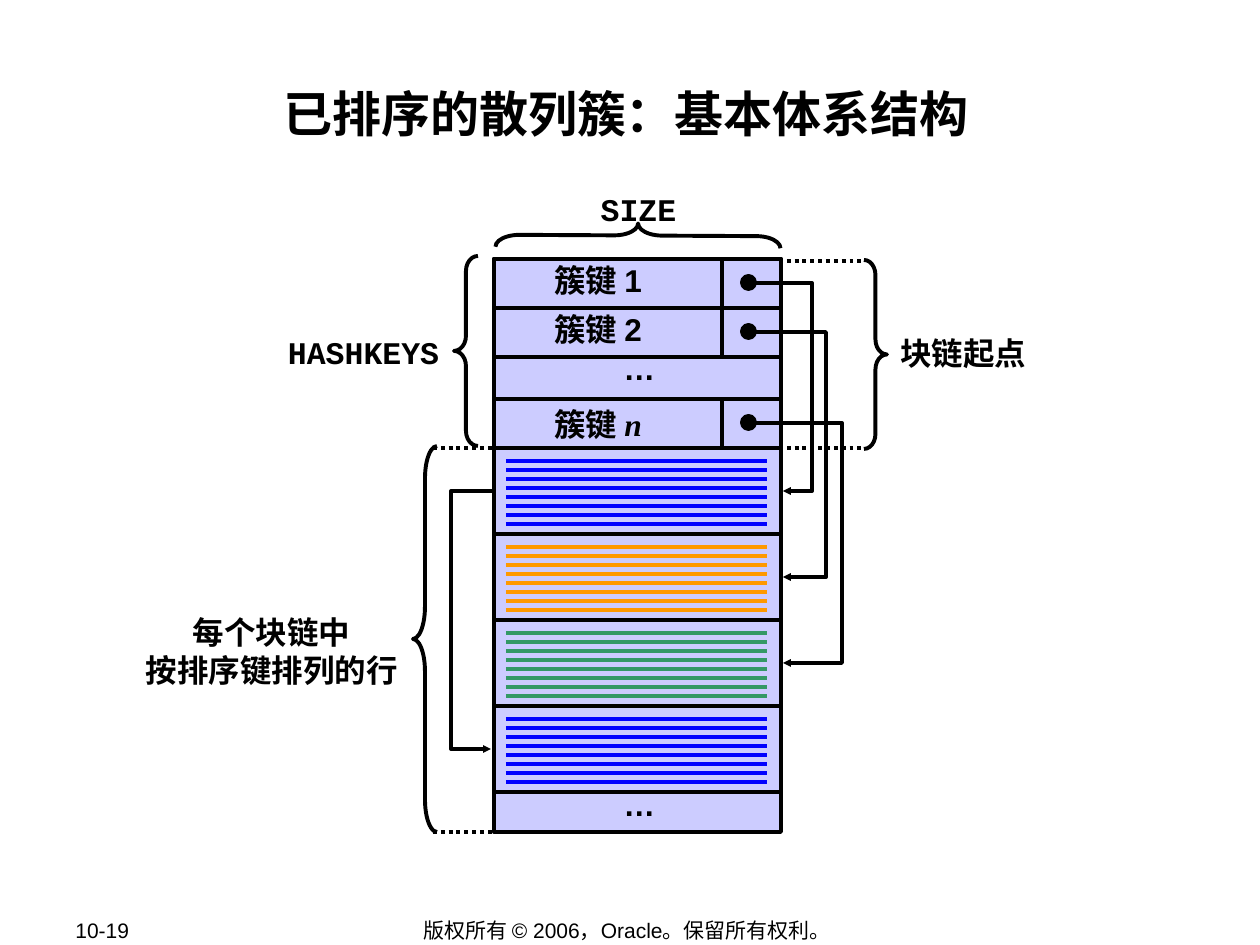
from dataclasses import dataclass
from lxml import etree
from pptx import Presentation
from pptx.dml.color import RGBColor
from pptx.enum.dml import MSO_LINE
from pptx.enum.shapes import MSO_CONNECTOR as CONN, MSO_SHAPE as SHAPE
from pptx.enum.text import MSO_ANCHOR as ANCHOR, PP_ALIGN as ALIGN
from pptx.oxml.ns import qn
from pptx.util import Emu, Pt


def px(n):
    return Emu(round(n * 914400 / 126))


def color(value):
    return RGBColor.from_string(value)


@dataclass
class Board:
    """Draws the elements of the current slide in one shared style."""
    slide: object
    ink: str = "000000"
    panel: str = "CCCCFF"
    font: str = "Arial"
    weight: float = 2.25

    def style(self, p, size, bold=True, font=None):
        f = p.font
        f.name, f.size, f.bold = font or self.font, Pt(size), bold
        f.color.rgb = color(self.ink)

    def title(self, text, x, y, w, h):
        s = self.slide.shapes.title
        s.left, s.top, s.width, s.height = map(px, (x, y, w, h))
        tf = s.text_frame
        tf.margin_left = tf.margin_right = tf.margin_top = tf.margin_bottom = px(1)
        tf.vertical_anchor = ANCHOR.TOP
        p = tf.paragraphs[0]
        p.text, p.alignment, p.line_spacing = text, ALIGN.CENTER, 1.1
        self.style(p, 28)

    def text(self, text, x, y, w, h=51, size=18, bold=True, font=None,
             align=ALIGN.CENTER, anchor=ANCHOR.TOP):
        tf = self.slide.shapes.add_textbox(*map(px, (x, y, w, h))).text_frame
        tf.word_wrap, tf.vertical_anchor = False, anchor
        p = tf.paragraphs[0]
        p.text, p.alignment = text, align
        self.style(p, size, bold, font)
        return p

    def shape(self, kind, x, y, w, h, fill=None):
        s = self.slide.shapes.add_shape(kind, *map(px, (x, y, w, h)))
        s.shadow.inherit = False
        if fill:
            s.fill.solid()
            s.fill.fore_color.rgb = color(fill)
        else:
            s.fill.background()
        s.line.color.rgb, s.line.width = color(self.ink), Pt(self.weight)
        return s

    def brace(self, kind, x, y, w, h, curl, angle=0):
        s = self.shape(kind, x, y, w, h)
        s.adjustments[0] = curl
        s.rotation = angle

    def line(self, x1, y1, x2, y2, ink=None, dotted=False, kind=CONN.STRAIGHT):
        c = self.slide.shapes.add_connector(kind, *map(px, (x1, y1, x2, y2)))
        c.line.color.rgb, c.line.width = color(ink or self.ink), Pt(self.weight)
        if dotted:
            c.line.dash_style = MSO_LINE.ROUND_DOT
        etree.SubElement(c._element.spPr, qn("a:effectLst"))
        return c

    def arrow(self, x1, y1, x2, y2, bend, side, target, source=None):
        c = self.line(x1, y1, x2, y2, kind=CONN.ELBOW)
        if source:
            c.begin_connect(source, side)
        c.end_connect(target, side)
        c.begin_x, c.end_x = px(x1), px(x2)
        guides = c._element.spPr.find(qn("a:prstGeom")).get_or_add_avLst()
        ratio = round((bend - x1) / (x2 - x1) * 100000)
        etree.SubElement(guides, qn("a:gd"), name="adj1", fmla=f"val {ratio}")
        etree.SubElement(c.line._get_or_add_ln(), qn("a:tailEnd"),
                         type="triangle", w="sm", len="sm")


def main():
    prs = Presentation()
    prs.slide_width, prs.slide_height = px(1260), px(945)
    board = Board(prs.slides.add_slide(prs.slide_layouts[5]))
    mono = "Courier New"
    left, top, width, bottom = 494, 259, 287, 832
    right = left + width
    key_tops, key_height = (259, 308, 399), 49
    data_top, data_height = 448, 86

    board.title("已排序的散列簇：基本体系结构", 122, 77, 1008, 117)
    board.text("10-19", 63, 917, 134, 26, 12, False, align=ALIGN.LEFT, anchor=ANCHOR.MIDDLE)
    board.text("版权所有 © 2006，Oracle。保留所有权利。", 344, 917, 566, 26, 12, False,
               anchor=ANCHOR.MIDDLE)

    board.shape(SHAPE.RECTANGLE, left, top, width, bottom - top, board.panel)
    for y in key_tops:
        board.shape(SHAPE.RECTANGLE, left, y, width, key_height)
        board.shape(SHAPE.OVAL, 742, y + 17, 13, 13, board.ink)
    for y, label in zip(key_tops, ("簇键 1", "簇键 2", "簇键 ")):
        p = board.text(label, 535, y - 4 if label[-1:].isdigit() else y, 126)
    r = p.add_run()
    r.text = "n"
    r.font.name, r.font.italic = "Times New Roman", True
    for y in (343, 779):
        board.text("…", 611, y, 57)
    board.line(722, top, 722, 357)
    board.line(722, 399, 722, data_top)

    blocks = []
    for i, ink in enumerate(("0000FF", "FF9900", "339966", "0000FF")):
        y = data_top + i * data_height
        blocks.append(board.shape(SHAPE.RECTANGLE, left, y, width, data_height))
        for row in range(8):
            row_y = y + 13 + 9 * row
            board.line(506, row_y, 767, row_y, ink)

    middles = [data_top + data_height * i + data_height // 2 for i in range(4)]
    for key_y, end_y, bend, block in zip(key_tops, middles, (812, 826, 842), blocks):
        board.arrow(756, key_y + 24, right + 2, end_y, bend, 3, block)
    board.arrow(left - 2, middles[0], left - 3, middles[3], 451, 1, blocks[3], blocks[0])

    board.brace(SHAPE.LEFT_BRACE, 454, 256, 24, 190, 0.63)
    board.brace(SHAPE.LEFT_BRACE, 413, 446, 24, 386, 1.35)
    board.brace(SHAPE.LEFT_BRACE, 626, 93, 24, 285, 1, 90.3)
    board.brace(SHAPE.RIGHT_BRACE, 864, 260, 23, 189, 0.65)
    for x, y in ((779, 261), (779, 448), (433, 448), (433, bottom)):
        board.line(x, y, x + 86, y, dotted=True)

    board.text("SIZE", 588, 184, 101, font=mono)
    board.text("HASHKEYS", 266, 327, 195, font=mono)
    board.text("块链起点", 888, 328, 151)
    board.text("每个块链中\n按排序键排列的行", 130, 607, 283, 88)
    prs.save("out.pptx")


if __name__ == "__main__":
    main()
